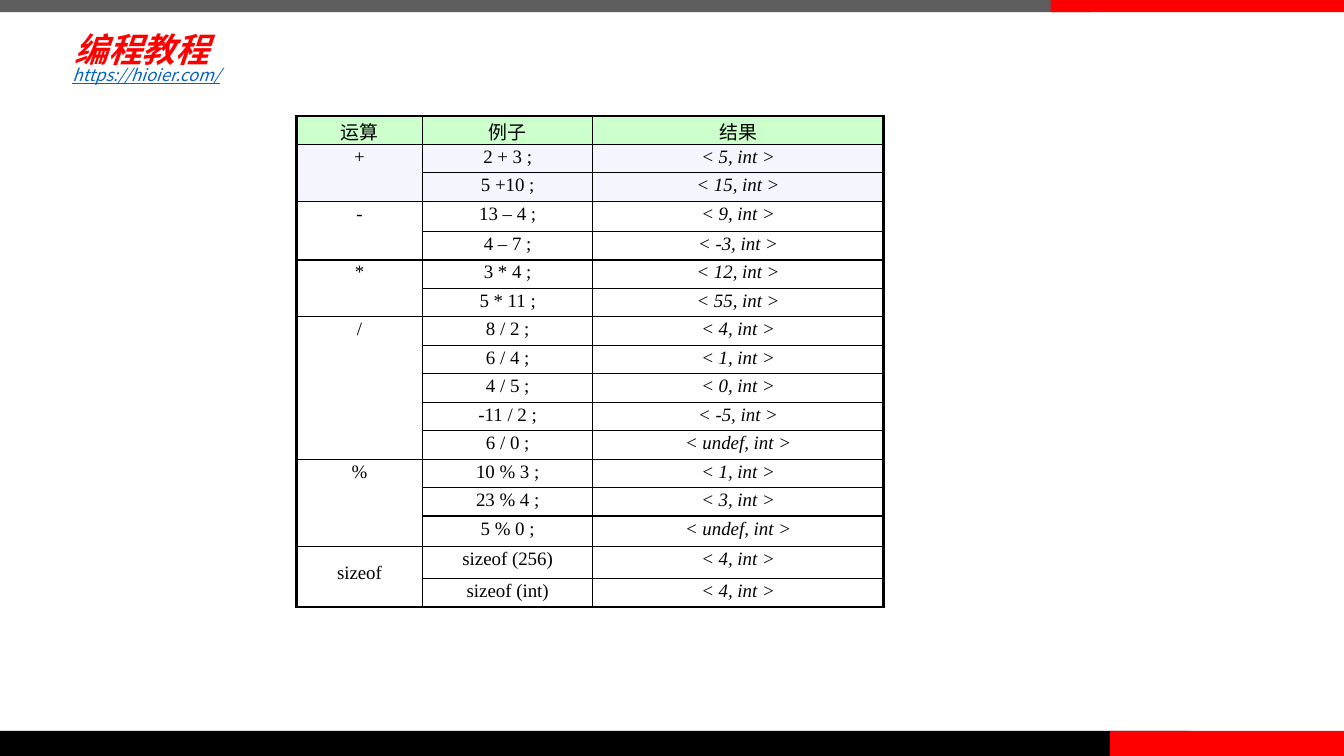
from dataclasses import dataclass

from lxml import etree
from pptx import Presentation
from pptx.dml.color import RGBColor
from pptx.enum.shapes import MSO_SHAPE
from pptx.enum.text import MSO_ANCHOR, PP_ALIGN
from pptx.oxml.ns import qn
from pptx.util import Inches, Pt

RECT = MSO_SHAPE.RECTANGLE
CENTER = PP_ALIGN.CENTER
TOP, MIDDLE = MSO_ANCHOR.TOP, MSO_ANCHOR.MIDDLE


@dataclass(frozen=True)
class Theme:
    red: str = "FF0000"
    gray: str = "5E5E5E"
    black: str = "000000"
    white: str = "FFFFFF"
    link: str = "0563C1"
    green: str = "CCFFCC"
    pale: str = "F5F6FD"
    title: float = 24
    small: float = 12
    body: float = 13.5
    thin: float = 1
    thick: float = 2.25
    head: str = "Lato"
    sans: str = "Noto Sans CJK SC"
    serif: str = "Times New Roman"


LOOK = Theme()
HEADS = ("运算", "例子", "结果")
# Operator, fill, line spacing, then pairs of example and result
GROUPS = [
    ("+", LOOK.pale, 0.9, [("2 + 3 ;", "5"), ("5 +10 ;", "15")]),
    ("-", None, 0.9, [("13 – 4 ;", "9"), ("4 – 7 ;", "-3")]),
    ("*", LOOK.white, 0.9, [("3 * 4 ;", "12"), ("5 * 11 ;", "55")]),
    ("/", None, 0.9, [("8 / 2 ;", "4"), ("6 / 4 ;", "1"), ("4 / 5 ;", "0"),
                      ("-11 / 2 ;", "-5"), ("6 / 0 ;", "undef")]),
    ("%", LOOK.white, 0.9, [("10 % 3 ;", "1"), ("23 % 4 ;", "3"),
                            ("5 % 0 ;", "undef")]),
    ("sizeof", None, 1.6, [("sizeof (256)", "4"), ("sizeof (int)", "4")]),
]
COLS = (1.25, 1.69, 2.88)
TALL = {3: 0.3, 14: 0.3, 15: 0.32}  # rows that differ from the even height


def assign(item, values):
    for name, value in values.items():
        setattr(item, name, value)


def write(frame, text, color, para=None, **form):
    """Put one styled run in the first paragraph of a frame."""
    line = frame.paragraphs[0]
    assign(line, para or {})
    run = line.add_run()
    run.text = text
    assign(run.font, form)
    run.font.color.rgb = RGBColor.from_string(color)
    east = etree.SubElement(run.font._element, qn("a:ea"))
    east.set("typeface", LOOK.sans)


def add_bar(slide, box, color):
    bar = slide.shapes.add_shape(RECT, *map(Inches, box))
    bar.shadow.inherit = False
    bar.fill.solid()
    bar.fill.fore_color.rgb = RGBColor.from_string(color)
    bar.line.fill.background()


def add_bars(slide, box):
    """Dark strips with red ends along the top and bottom of the box."""
    left, top, width, height = box
    low = top + height - 0.25
    add_bar(slide, (left, top, 10.81, 0.12), LOOK.gray)
    add_bar(slide, (left, low, 11.8, 0.25), LOOK.black)
    add_bar(slide, (left + width - 2.32, low, 2.32, 0.25), LOOK.red)
    add_bar(slide, (left + width - 2.91, top, 2.91, 0.12), LOOK.red)


def add_label(slide, box, text, color, frame, **form):
    area = slide.shapes.add_textbox(*map(Inches, box)).text_frame
    assign(area, {"word_wrap": True, **frame})
    write(area, text, color, **form)


def add_header(slide, box):
    """Site name with its address below."""
    left, top, width, height = box
    pad = Inches(0.06)
    sides = ("left", "top", "right", "bottom")
    inset = {f"margin_{side}": pad for side in sides}
    add_label(slide, (left + 0.06, top, 1.85, 0.52), "编程教程", LOOK.red,
              {"vertical_anchor": MIDDLE, **inset}, name=LOOK.head,
              size=Pt(LOOK.title), bold=True, italic=True)
    add_label(slide, (left, top + height - 0.3, width, 0.3),
              "https://hioier.com/", LOOK.link, {}, name=LOOK.sans,
              size=Pt(LOOK.small), italic=True, underline=True)


def set_edges(cell, edges):
    """Draw the given cell sides, a map of tag to width in points."""
    props = cell._tc.get_or_add_tcPr()
    for spot, (tag, width) in enumerate(edges.items()):
        line = etree.Element(qn(f"a:{tag}"), w=str(Pt(width)))
        fill = etree.SubElement(line, qn("a:solidFill"))
        etree.SubElement(fill, qn("a:srgbClr"), val=LOOK.black)
        props.insert(spot, line)


def style_cell(cell, fill):
    assign(cell, {"margin_left": Inches(0.08), "margin_right": Inches(0.08),
                  "margin_top": Inches(0.04), "margin_bottom": Inches(0.04),
                  "vertical_anchor": TOP})
    if fill:
        cell.fill.solid()
        cell.fill.fore_color.rgb = RGBColor.from_string(fill)
    else:
        cell.fill.background()


def fill_cell(cell, text, fill, space=0.9, italic=False):
    style_cell(cell, fill)
    write(cell.text_frame, text, LOOK.black,
          {"alignment": CENTER, "line_spacing": space},
          name=LOOK.serif, size=Pt(LOOK.body), italic=italic)


def rule_grid(grid, count):
    """Thick outer frame, thin inner lines, none inside merged cells."""
    last = len(COLS) - 1
    for row in range(count):
        for col in range(len(COLS)):
            cell = grid.cell(row, col)
            end = row + (cell.span_height if cell.is_merge_origin else 1)
            edges = {"lnL": LOOK.thin if col else LOOK.thick,
                     "lnR": LOOK.thick if col == last else LOOK.thin}
            if not cell.is_spanned:
                edges["lnT"] = LOOK.thin if row else LOOK.thick
            if not cell.is_spanned or end == count:
                edges["lnB"] = LOOK.thick if end == count else LOOK.thin
            set_edges(cell, edges)


def add_grid(slide, box):
    """Table of operators, examples and results."""
    count = 1 + sum(len(pairs) for *_, pairs in GROUPS)
    grid = slide.shapes.add_table(count, len(COLS), *map(Inches, box)).table
    assign(grid, {"first_row": False, "horz_banding": False})
    for col, width in zip(grid.columns, COLS):
        col.width = Inches(width)
    even = (box[3] - sum(TALL.values())) / (count - len(TALL))
    for spot, row in enumerate(grid.rows):
        row.height = Inches(TALL.get(spot, even))

    for col, text in enumerate(HEADS):
        fill_cell(grid.cell(0, col), text, LOOK.green)
    row = 1
    for sign, fill, space, pairs in GROUPS:
        first = grid.cell(row, 0)
        first.merge(grid.cell(row + len(pairs) - 1, 0))
        fill_cell(first, sign, fill, space)
        for code, value in pairs:
            if grid.cell(row, 0).is_spanned:
                style_cell(grid.cell(row, 0), fill)
            fill_cell(grid.cell(row, 1), code, fill)
            fill_cell(grid.cell(row, 2), f"< {value}, int >", fill,
                      italic=True)
            row += 1
    rule_grid(grid, count)


def main():
    deck = Presentation()
    assign(deck, {"slide_width": Inches(13.33), "slide_height": Inches(7.5)})
    slide = deck.slides.add_slide(deck.slide_layouts[6])
    add_bars(slide, (0, 0, 13.33, 7.5))
    add_header(slide, (0.62, 0.23, 6.67, 0.66))
    add_grid(slide, (2.94, 1.15, 5.82, 4.8))
    deck.save("out.pptx")


if __name__ == "__main__":
    main()
